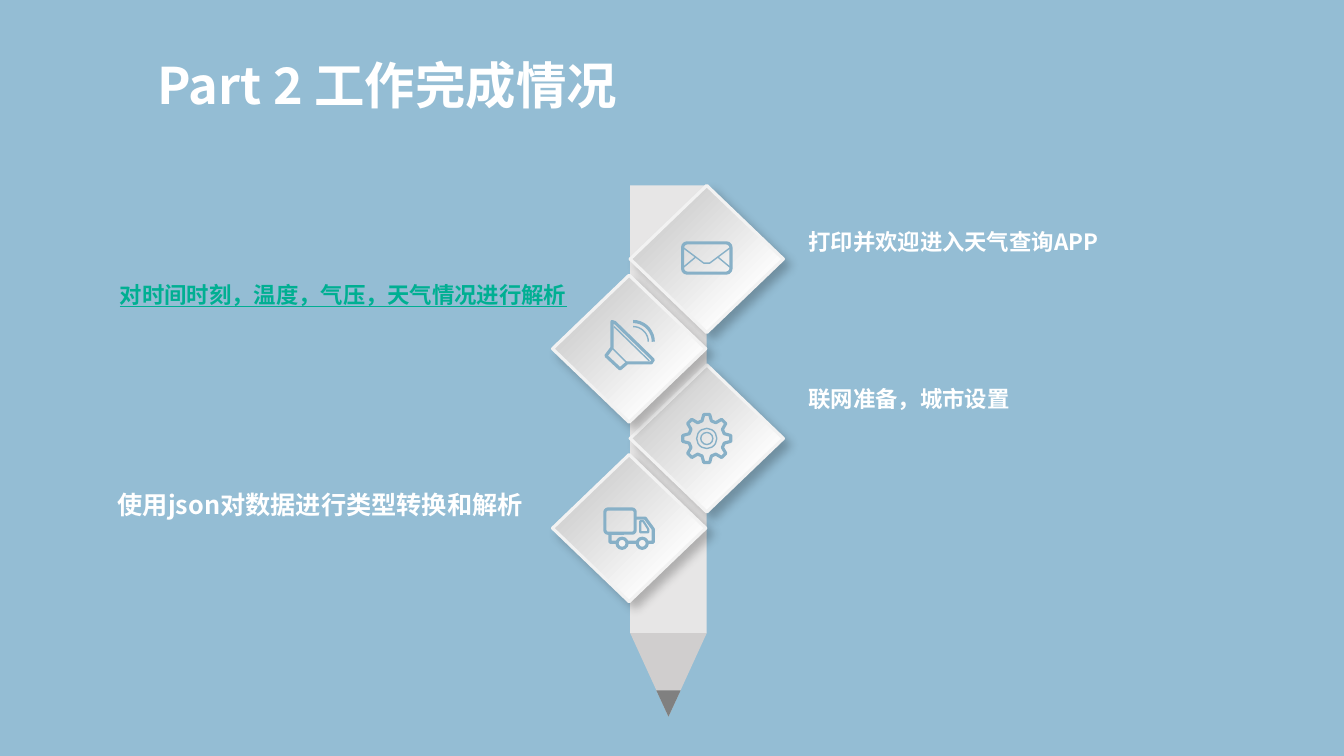
import math

from lxml import etree
from pptx import Presentation
from pptx import util as u
from pptx.dml.color import RGBColor
from pptx.enum import shapes, text
from pptx.oxml.ns import qn

FONT = "Noto Sans CJK SC"
COLORS = {
    "background": "94BDD4",
    "white": "FFFFFF",
    "link": "00AF92",
    "barrel": "E7E6E6",
    "wood": "D0CECE",
    "lead": "808080",
    "tile_dark": "BFBFBF",
    "tile_edge": "F2F2F2",
    "icon": "87B0C7",
}
TILE_WIDTH, TILE_HEIGHT, TILE_PITCH = 1.52, 1.46, 0.89
THIN = 1
BOLD = 2.25


def color(name):
    return RGBColor.from_string(COLORS[name])


def write_text(shape, content, size=16, font_color="white", align=text.PP_ALIGN.LEFT,
               underline=None, wrap=False):
    frame = shape.text_frame
    frame.word_wrap = wrap
    frame.auto_size = text.MSO_AUTO_SIZE.NONE
    frame.vertical_anchor = text.MSO_ANCHOR.TOP
    paragraph = frame.paragraphs[0]
    paragraph.alignment = align
    run = paragraph.add_run()
    run.text = content
    font = run.font
    font.name, font.size, font.bold, font.underline = FONT, u.Pt(size), True, underline
    font.color.rgb = color(font_color)
    east_asian = etree.SubElement(font._element, qn("a:ea"))
    east_asian.set("typeface", FONT)


def add_label(slide, box, content, **text_format):
    write_text(slide.shapes.add_textbox(*map(u.Inches, box)), content, **text_format)


def add_preset(slide, kind, box, fill=None, line=None, weight=BOLD):
    shape = slide.shapes.add_shape(kind, *map(u.Inches, box))
    shape.shadow.inherit = False
    if fill:
        shape.fill.solid()
        shape.fill.fore_color.rgb = color(fill)
    else:
        shape.fill.background()
    if line:
        shape.line.color.rgb = color(line)
        shape.line.width = u.Pt(weight)
    else:
        shape.line.fill.background()
    return shape


def add_stroke(slide, center, points, weight=BOLD, close=False):
    """Draw an icon line through points given relative to the tile center."""
    places = [(u.Inches(center[0] + x), u.Inches(center[1] + y)) for x, y in points]
    if len(places) == 2:
        stroke = slide.shapes.add_connector(shapes.MSO_CONNECTOR.STRAIGHT, *places[0], *places[1])
        etree.SubElement(stroke._element.spPr, qn("a:effectLst"))
    else:
        builder = slide.shapes.build_freeform(*places[0])
        builder.add_line_segments(places[1:], close=close)
        stroke = builder.convert_to_shape()
        stroke.shadow.inherit = False
        stroke.fill.background()
    stroke.line.color.rgb = color("icon")
    stroke.line.width = u.Pt(weight)


def add_icon_part(slide, center, kind, box, weight=BOLD, fill=None):
    left, top, width, height = box
    return add_preset(slide, kind, (center[0] + left, center[1] + top, width, height),
                      fill=fill, line="icon", weight=weight)


def polar(radius, degrees, x=0, y=0):
    angle = math.radians(degrees)
    return x + radius * math.cos(angle), y + radius * math.sin(angle)


def draw_envelope(slide, center):
    body = add_icon_part(slide, center, shapes.MSO_SHAPE.ROUNDED_RECTANGLE, (-0.24, -0.16, 0.48, 0.3))
    body.adjustments[0] = 0.15
    add_stroke(slide, center, [(-0.23, -0.11), (-0.03, 0.04), (0.03, 0.04), (0.23, -0.11)], THIN)
    for side in (-1, 1):
        add_stroke(slide, center, [(side * 0.23, 0.08), (side * 0.11, -0.02)], THIN)


def draw_speaker(slide, center):
    add_stroke(slide, center, [(-0.17, -0.27), (-0.14, -0.26), (0.24, 0.11), (0.22, 0.14),
                               (-0.02, 0.14), (-0.09, 0.2), (-0.23, 0.07), (-0.17, -0.01)], close=True)
    add_stroke(slide, center, [(-0.17, -0.01), (-0.02, 0.14)], THIN)
    add_stroke(slide, center, [(-0.15, -0.22), (0.2, 0.12)], THIN)
    for radius, weight in ((0.2, BOLD), (0.15, THIN)):
        add_stroke(slide, center, [polar(radius, degrees, 0.04, -0.07) for degrees in range(-90, 1, 10)],
                   weight)


def draw_gear(slide, center):
    tooth = ((0.18, -15), (0.24, -7), (0.24, 7), (0.18, 15))
    add_stroke(slide, center, [polar(radius, turn + offset) for turn in range(0, 360, 45)
                               for radius, offset in tooth], close=True)
    for radius in (0.1, 0.06):
        add_icon_part(slide, center, shapes.MSO_SHAPE.OVAL,
                      (-radius, -radius, 2 * radius, 2 * radius), THIN)


def draw_truck(slide, center):
    cargo = add_icon_part(slide, center, shapes.MSO_SHAPE.ROUNDED_RECTANGLE, (-0.24, -0.19, 0.3, 0.24))
    cargo.adjustments[0] = 0.12
    add_stroke(slide, center, [(-0.19, 0.05), (-0.19, 0.14), (0.24, 0.14), (0.24, 0.01),
                               (0.16, -0.1), (0.06, -0.1)])
    add_stroke(slide, center, [(0.11, -0.07), (0.14, -0.07), (0.19, 0.01), (0.19, 0.04),
                               (0.11, 0.04)], 1.5, close=True)
    for wheel in (-0.07, 0.13):
        add_icon_part(slide, center, shapes.MSO_SHAPE.OVAL, (wheel - 0.05, 0.1, 0.1, 0.1),
                      fill="tile_edge")


def add_tile(slide, left, top, draw_icon):
    tile = add_preset(slide, shapes.MSO_SHAPE.DIAMOND, (left, top, TILE_WIDTH, TILE_HEIGHT),
                      line="tile_edge")
    tile.fill.gradient()
    tile.fill.gradient_angle = 315
    for stop, (name, position) in zip(tile.fill.gradient_stops, (("tile_dark", 0), ("white", 0.8))):
        stop.color.rgb = color(name)
        stop.position = position
    effects = tile._element.spPr.find(qn("a:effectLst"))
    shadow = etree.SubElement(effects, qn("a:outerShdw"), blurRad=str(u.Pt(7)), dist=str(u.Pt(5.9)),
                              dir="2700000", algn="tl", rotWithShape="0")
    shade = etree.SubElement(shadow, qn("a:srgbClr"), val="000000")
    etree.SubElement(shade, qn("a:alpha"), val="23000")
    draw_icon(slide, (left + TILE_WIDTH / 2, top + TILE_HEIGHT / 2))


def add_pencil(slide, left, top, width=0.76):
    add_preset(slide, shapes.MSO_SHAPE.RECTANGLE, (left, top, width, 4.44), "barrel")
    tip_bottom = top + 5.27
    for tip_width, tip_height, fill in ((width, 0.83, "wood"), (0.24, 0.26, "lead")):
        tip = add_preset(slide, shapes.MSO_SHAPE.ISOSCELES_TRIANGLE,
                         (left + (width - tip_width) / 2, tip_bottom - tip_height,
                          tip_width, tip_height), fill)
        tip.rotation = 180


def add_tiles(slide, left, top):
    """Stack the tiles in a zigzag; the first and third sit on the right."""
    icons = (draw_envelope, draw_speaker, draw_gear, draw_truck)
    for row in (3, 0, 2, 1):
        shift = 0 if row % 2 else 0.77
        add_tile(slide, left + shift, top + row * TILE_PITCH, icons[row])


def add_title(slide, left, top, width, height):
    title = slide.shapes.title
    title.left, title.top, title.width, title.height = map(u.Inches, (left, top, width, height))
    write_text(title, "Part 2 工作完成情况", size=36)


def main():
    presentation = Presentation()
    presentation.slide_width, presentation.slide_height = u.Inches(13.33), u.Inches(7.5)
    slide = presentation.slides.add_slide(presentation.slide_layouts[5])
    slide.background.fill.solid()
    slide.background.fill.fore_color.rgb = color("background")
    add_title(slide, 1.46, 0.49, 4.89, 0.71)
    add_pencil(slide, 6.25, 1.84)
    add_tiles(slide, 5.48, 1.84)
    add_label(slide, (7.92, 2.21, 3.13, 0.37), "打印并欢迎进入天气查询APP")
    add_label(slide, (1.03, 2.74, 4.69, 0.37), "对时间时刻，温度，气压，天气情况进行解析",
              font_color="link", align=text.PP_ALIGN.RIGHT, underline=True)
    add_label(slide, (7.92, 3.77, 2.22, 0.37), "联网准备，城市设置")
    add_label(slide, (1.07, 4.81, 4.27, 0.4), "使用json对数据进行类型转换和解析", size=18, wrap=True)
    presentation.save("out.pptx")


if __name__ == "__main__":
    main()
